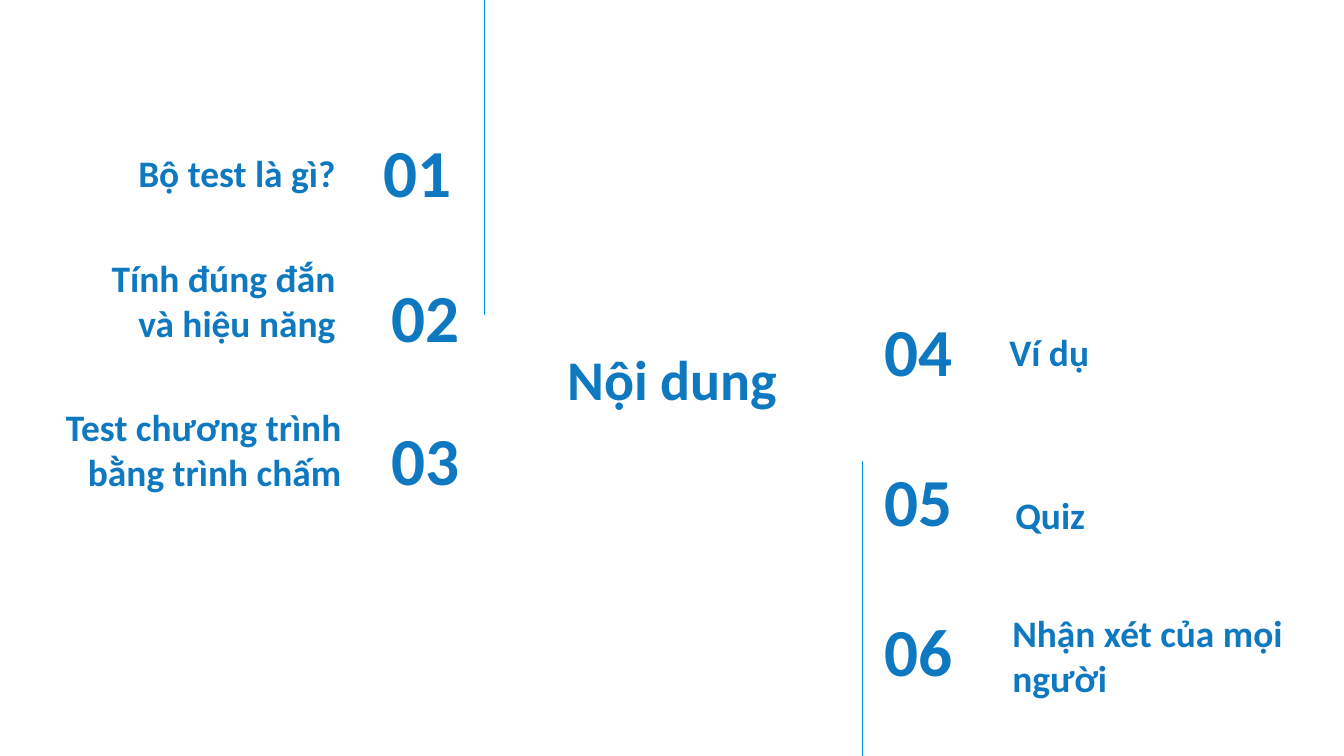
from lxml.etree import SubElement
from pptx import Presentation
from pptx.dml.color import RGBColor
from pptx.enum.shapes import MSO_CONNECTOR as Connector
from pptx.enum.text import MSO_ANCHOR as Anchor, PP_ALIGN as Align
from pptx.oxml.ns import qn
from pptx.util import Inches, Pt

BLUE = RGBColor(0x0E, 0x78, 0xC0)
LINE_BLUE = RGBColor(0x00, 0x91, 0xEA)
ROW_HEIGHT = 0.84

LEFT_ITEMS = [
    ("01", 2.99, 1.27, "Bộ test là gì?", 0.58, 1.22, 2.88),
    ("02", 3.07, 2.71, "Tính đúng đắn và hiệu năng", 0.58, 2.71, 2.88),
    ("03", 3.07, 4.13, "Test chương trình bằng trình chấm", 0.43, 4.19, 3.09),
]
RIGHT_ITEMS = [
    ("04", 8.64, 3.05, "Ví dụ", 9.88, 3, 2.88),
    ("05", 8.64, 4.54, "Quiz", 9.94, 4.62, 2.88),
    ("06", 8.64, 6.03, "Nhận xét của mọi người", 9.91, 6.23, 3.42),
]


class AgendaSlide:
    """Draws agenda elements on one slide in a shared style."""

    def __init__(self, page):
        self.page = page
        self.frame_format = {"word_wrap": True}
        for side in ("left", "top", "right", "bottom"):
            self.frame_format[f"margin_{side}"] = Inches(0.13)
        self.font_format = {"name": "Calibri", "bold": True}

    def text(self, words, place, size, align, anchor=Anchor.MIDDLE):
        box = self.page.shapes.add_textbox(*map(Inches, place))
        frame = box.text_frame
        for key, value in {**self.frame_format, "vertical_anchor": anchor}.items():
            setattr(frame, key, value)
        para = frame.paragraphs[0]
        para.alignment = align
        span = para.add_run()
        span.text = words
        for key, value in {**self.font_format, "size": Pt(size)}.items():
            setattr(span.font, key, value)
        span.font.color.rgb = BLUE

    def item(self, number, number_left, number_top, label, left, top, width, align):
        number_width = 1.62 if align == Align.RIGHT else 1.56
        self.text(number, (number_left, number_top, number_width, ROW_HEIGHT), 48, align)
        self.text(label, (left, top, width, ROW_HEIGHT), 26.7, align, Anchor.BOTTOM)

    def rule(self, left, top, bottom):
        ends = map(Inches, (left, top, left, bottom))
        line = self.page.shapes.add_connector(Connector.STRAIGHT, *ends)
        line.line.color.rgb = LINE_BLUE
        line.line.width = Pt(0.75)
        SubElement(line._element.spPr, qn("a:effectLst"))


def main():
    deck = Presentation()
    deck.slide_width, deck.slide_height = Inches(13.33), Inches(7.5)
    agenda = AgendaSlide(deck.slides.add_slide(deck.slide_layouts[6]))
    agenda.text("Nội dung", (4.94, 3.06, 3.46, 1.38), 40, Align.CENTER)
    agenda.rule(4.81, 0, 3.13)
    agenda.rule(8.55, 4.57, 7.5)
    for items, align in ((LEFT_ITEMS, Align.RIGHT), (RIGHT_ITEMS, Align.LEFT)):
        for entry in items:
            agenda.item(*entry, align)
    deck.save("out.pptx")


if __name__ == "__main__":
    main()
